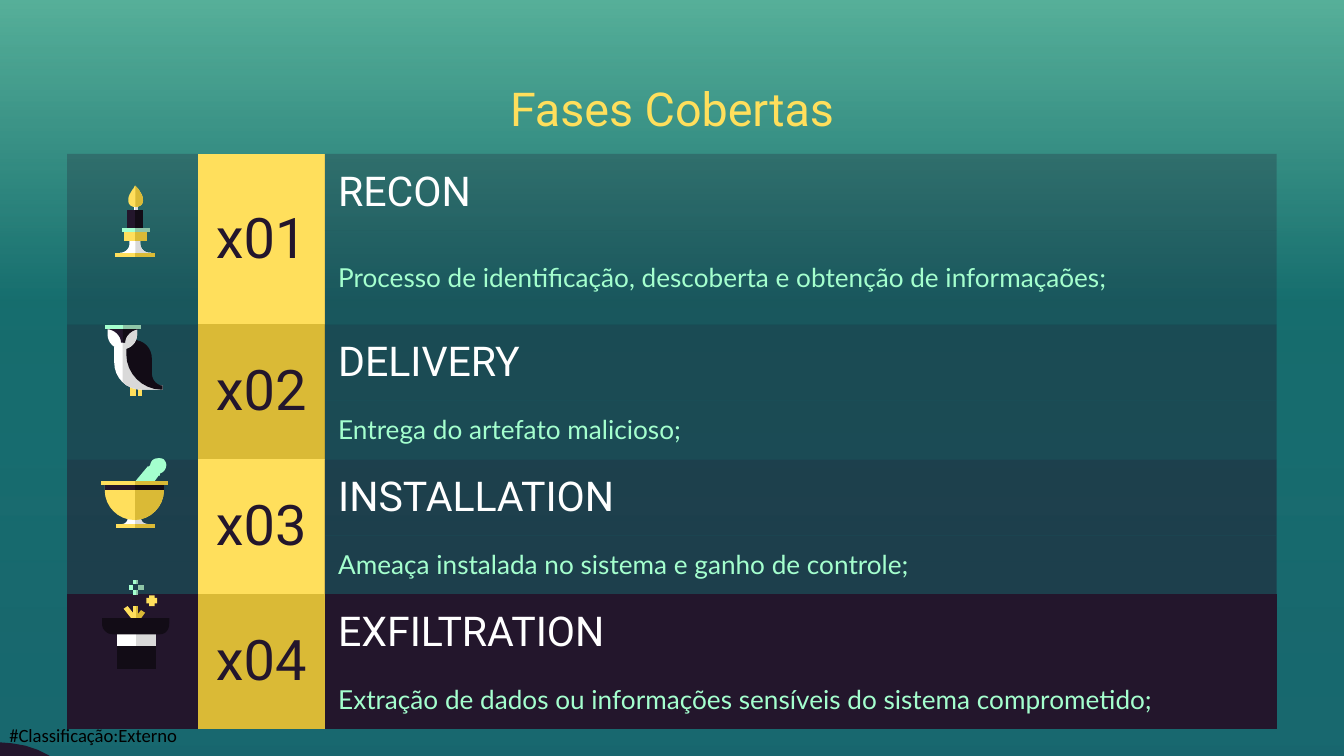
from lxml.etree import SubElement
from pptx import Presentation
from pptx.dml.color import RGBColor
from pptx.enum.shapes import MSO_SHAPE
from pptx.enum.text import MSO_ANCHOR, PP_ALIGN
from pptx.oxml.ns import qn
from pptx.util import Pt

RECT = MSO_SHAPE.RECTANGLE
MID = MSO_ANCHOR.MIDDLE
TOP = MSO_ANCHOR.TOP
LEFT = PP_ALIGN.LEFT
CENTER = PP_ALIGN.CENTER
PLAIN = "{2D5ABB26-0587-4C30-8999-92F81FD0307C}"
INK, NIGHT, WHITE, GRAY = "23162C", "120C16", "FFFFFF", "D9D9D9"
GOLD, OCHRE, MINT, SAGE = "FFDF5C", "DABA36", "A4FFCE", "8EC5A7"

ROWS = [
    ("x01", "RECON", "Processo de identificação, descoberta e obtenção de informaçaões;", 25),
    ("x02", "DELIVERY", "Entrega do artefato malicioso;", 38),
    ("x03", "INSTALLATION", "Ameaça instalada no sistema e ganho de controle;", 50),
    ("x04", "EXFILTRATION", "Extração de dados ou informações sensíveis do sistema comprometido;", 100),
]

CANDLE = [
    ("14,15 17,20", WHITE, GRAY),
    ("9,18 21,34", INK, NIGHT),
    ("11,40 11,43 C 11,47 8,50 4,50 4,53 27,53 27,50 26,50 C 22,50 19,47 19,43 19,40", WHITE, GRAY),
    ("0,50 30,53", GOLD, OCHRE),
    ("7,34 24,41", GOLD, OCHRE),
    ("5,32 26,35", MINT, SAGE),
    ("15,0 14,2 C 14,2 13,3 12,5 C 10,8 10,10 10,11 C 10,14 12,16 15,16 "
     "C 19,16 21,14 21,11 C 21,10 21,8 19,5 C 18,3 17,2 17,2", GOLD, OCHRE),
]
OWL = [
    ("25,46 28,53", GOLD, GOLD),
    ("19,45 23,53", GOLD, GOLD),
    ("7,16 7,28 C 7,39 16,48 27,48 43,48 43,45 36,45 C 26,45 21,16 21,16", WHITE, GRAY),
    ("21,11 16,13 16,22 C 16,36 28,48 42,48 43,48 43,45 C 39,45 35,41 35,36 "
     "35,25 C 35,17 29,11 21,11", NIGHT, NIGHT),
    ("2,2 2,7 C 2,13 7,18 13,18 C 19,18 24,13 24,7 24,2", WHITE, GRAY),
    ("1,0 1,3 C 7,3 12,8 12,13 15,13 C 15,8 20,3 26,3 26,0", INK, NIGHT),
    ("0,0 27,3", MINT, SAGE),
]
BOWL = [
    ("20,44 20,45 C 20,47 18,49 16,49 13,49 13,51 37,51 37,49 35,49 C 32,49 30,47 30,45 30,44", WHITE, GRAY),
    ("43,0 C 40,0 38,1 37,4 C 37,5 36,6 36,6 35,6 25,18 28,20 38,20 43,13 44,13 "
     "C 44,12 44,11 45,11 C 49,9 50,4 47,1 C 46,0 44,0 43,0", MINT, MINT),
    ("3,19 3,24 C 3,36 13,46 25,46 C 37,46 47,36 47,24 47,19", GOLD, OCHRE),
    ("11,49 40,52", GOLD, OCHRE),
    ("3,19 47,24", INK, NIGHT),
    ("0,17 50,20", GOLD, OCHRE),
]
HAT = [
    ("19,19 16,21 24,31 27,29", GOLD, GOLD),
    ("29,22 25,27 25,30 27,31 32,24", OCHRE, OCHRE),
    ("23,19 27,30", GOLD, OCHRE),
    ("35,11 35,13 33,13 33,17 35,17 35,19 39,19 39,17 41,17 41,13 39,13 39,11", GOLD, GOLD),
    ("23,0 27,3", MINT, SAGE),
    ("23,7 27,11", MINT, SAGE),
    ("20,3 23,7", MINT, MINT),
    ("27,3 31,7", SAGE, SAGE),
    ("11,38 40,66", NIGHT, NIGHT),
    ("11,38 40,49", WHITE, GRAY),
    ("0,28 0,32 C 0,37 4,40 8,40 43,40 C 47,40 50,37 50,32 50,28", NIGHT, NIGHT),
]
BLOB = "196,92 C 190,70 170,53 143,50 18,40 0,154 125,165 C 159,168 191,145 197,113 C 198,106 198,98 196,92"


def paint(fill, color, alpha=100):
    fill.solid()
    fill.fore_color.rgb = RGBColor.from_string(color)
    if alpha < 100:
        node = next(fill._xPr.iter(qn("a:srgbClr")))
        SubElement(node, qn("a:alpha"), val=str(alpha * 1000))


def trace(data):
    words = data.split()
    dots, i = [], 0
    while i < len(words):
        if words[i] != "C":
            dots.append(tuple(map(float, words[i].split(","))))
            i += 1
            continue
        a = dots[-1]
        b, c, d = [tuple(map(float, w.split(","))) for w in words[i + 1:i + 4]]
        for n in range(1, 9):
            t = n / 8
            u = 1 - t
            dots.append(tuple(u**3 * a[k] + 3 * u * u * t * b[k] + 3 * u * t * t * c[k] + t**3 * d[k]
                              for k in (0, 1)))
        i += 4
    if len(dots) == 2:
        (l, t), (r, b) = dots
        dots = [(l, t), (r, t), (r, b), (l, b)]
    return dots


def outline(shapes, dots, color, left, top, unit):
    spots = [(Pt(left + x * unit), Pt(top + y * unit)) for x, y in dots]
    pen = shapes.build_freeform(*spots[0])
    pen.add_line_segments(spots[1:], close=True)
    shape = pen.convert_to_shape()
    shape.shadow.inherit = False
    paint(shape.fill, color)
    shape.line.fill.background()


def icon(slide, parts, mid, left, top, unit=0.72):
    shapes = slide.shapes.add_group_shape().shapes
    for data, light, dark in parts:
        dots = trace(data)
        outline(shapes, dots, light, left, top, unit)
        if dark != light:
            half = [(max(x, mid), y) for x, y in dots]
            outline(shapes, half, dark, left, top, unit)


def write(frame, text, size, font, color, align=LEFT):
    para = frame.paragraphs[0]
    para.text = text
    para.alignment = align
    para.font.size = Pt(size)
    para.font.name = font
    para.font.color.rgb = RGBColor.from_string(color)


def label(slide, box, pad, anchor, *style):
    frame = slide.shapes.add_textbox(*map(Pt, box)).text_frame
    frame.word_wrap = True
    frame.vertical_anchor = anchor
    frame.margin_left = frame.margin_right = Pt(pad)
    frame.margin_top = frame.margin_bottom = Pt(pad)
    write(frame, *style)


def backdrop(slide, box):
    paint(slide.background.fill, "00575F")
    veil = slide.shapes.add_shape(RECT, *map(Pt, box))
    veil.shadow.inherit = False
    veil.line.fill.background()
    veil.fill.gradient()
    veil.fill.gradient_angle = 270
    stops = next(veil._element.iter(qn("a:gsLst")))
    for stop in list(stops):
        stops.remove(stop)
    for place, color, alpha in ((0, MINT, 54), (40, MINT, 13), (100, WHITE, 9)):
        stop = SubElement(stops, qn("a:gs"), pos=str(place * 1000))
        node = SubElement(stop, qn("a:srgbClr"), val=color)
        SubElement(node, qn("a:alpha"), val=str(alpha * 1000))


def cell_text(cell, *style):
    cell.vertical_anchor = MID
    cell.margin_left = cell.margin_right = Pt(7.2)
    cell.margin_top = cell.margin_bottom = Pt(7.2)
    write(cell.text_frame, *style)


def phases(slide, box):
    frame = slide.shapes.add_table(2 * len(ROWS), 3, *map(Pt, box))
    next(frame._element.iter(qn("a:tableStyleId"))).text = PLAIN
    table = frame.table
    table.first_row = table.horz_banding = False
    for col, share in zip(table.columns, (0.11, 0.1, 0.79)):
        col.width = Pt(round(box[2] * share, 1))
    table.columns[0].width, table.columns[1].width = Pt(70), Pt(68)
    table.columns[2].width = Pt(box[2] - 138)
    for i, (code, name, note, alpha) in enumerate(ROWS):
        top, low = 2 * i, 2 * i + 1
        table.rows[top].height = Pt(40.3)
        table.rows[low].height = Pt(31.5 if i else 49.7)
        for k in (0, 1):
            table.cell(top, k).merge(table.cell(low, k))
        for r, k in ((top, 0), (top, 2), (low, 2)):
            paint(table.cell(r, k).fill, INK, alpha)
        paint(table.cell(top, 1).fill, OCHRE if i % 2 else GOLD)
        cell_text(table.cell(top, 1), code, 30, "Roboto", INK, CENTER)
        cell_text(table.cell(top, 2), name, 22, "Roboto", WHITE)
        cell_text(table.cell(low, 2), note, 14, "Lato", MINT)


def main():
    deck = Presentation()
    deck.slide_width, deck.slide_height = Pt(720), Pt(405)
    slide = deck.slides.add_slide(deck.slide_layouts[6])
    backdrop(slide, (-6, -6, 734, 419))
    label(slide, (5, 388, 110, 12.2), 0, TOP, "#Classificação:Externo", 10, "Calibri", "000000")
    label(slide, (56, 35.3, 608, 45.4), 7.2, MID, "Fases Cobertas", 25, "Roboto", GOLD, CENTER)
    phases(slide, (36, 82.5, 648, 305.3))
    icon(slide, BOWL, 25.5, 54, 245.5)
    icon(slide, OWL, 13.3, 56.2, 174.2)
    icon(slide, CANDLE, 15.3, 61.5, 99.4)
    icon(slide, HAT, 25, 54.7, 311)
    outline(slide.shapes, trace(BLOB), INK, -96.5, 362.2, 0.72)
    deck.save("out.pptx")


if __name__ == "__main__":
    main()
